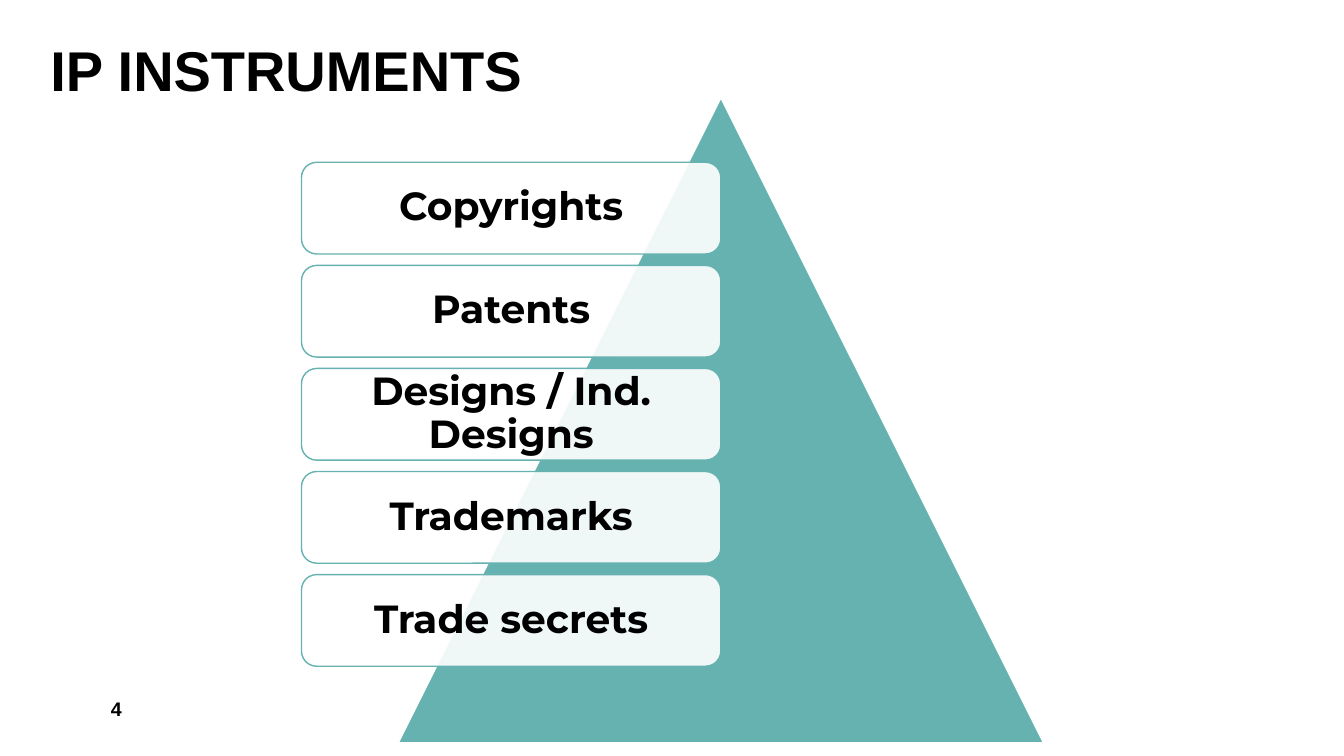
from dataclasses import dataclass

from lxml.etree import SubElement
from pptx import Presentation
from pptx.dml.color import RGBColor
from pptx.enum.shapes import MSO_SHAPE as Preset
from pptx.enum.text import MSO_ANCHOR as Anchor, PP_ALIGN as Align
from pptx.oxml.ns import qn
from pptx.util import Inches, Pt

# Content
HEADING = "IP INSTRUMENTS"
INSTRUMENTS = [
    "Copyrights",
    "Patents",
    "Designs / Ind. Designs",
    "Trademarks",
    "Trade secrets",
]
PAGE_NUMBER = "4"


@dataclass(frozen=True)
class Theme:
    teal: RGBColor = RGBColor(0x66, 0xB2, 0xB0)
    white: RGBColor = RGBColor(0xFF, 0xFF, 0xFF)
    black: RGBColor = RGBColor(0, 0, 0)
    plain_font: str = "Arial"
    card_font: str = "Montserrat"
    heading_size: int = 40
    card_size: int = 28
    number_size: int = 14
    outline: int = 1
    card_opacity: int = 90


THEME = Theme()

# Layout, in inches
PYRAMID = (3.95, 0.97, 6.4, 6.4)
CARD_LEFT, CARD_TOP, CARD_WIDTH, CARD_HEIGHT = 2.99, 1.61, 4.16, 0.91
CARD_STEP = 1.0225
CARD_INSET = 0.16


def write(frame, words, font_name, size, align, spacing=1.0):
    frame.word_wrap = True
    frame.vertical_anchor = Anchor.MIDDLE
    frame.text = words
    paragraph = frame.paragraphs[0]
    paragraph.alignment = align
    paragraph.line_spacing = spacing
    font = paragraph.font
    font.name, font.size, font.bold = font_name, Pt(size), True
    font.color.rgb = THEME.black


def add_panel(slide, preset, box, fill, line):
    panel = slide.shapes.add_shape(preset, *map(Inches, box))
    panel.shadow.inherit = False
    panel.fill.solid()
    panel.fill.fore_color.rgb = fill
    panel.line.color.rgb = line
    panel.line.width = Pt(THEME.outline)
    return panel


def add_card(slide, row, words):
    box = (CARD_LEFT, CARD_TOP + row * CARD_STEP, CARD_WIDTH, CARD_HEIGHT)
    card = add_panel(slide, Preset.ROUNDED_RECTANGLE, box, THEME.white, THEME.teal)
    # Let the pyramid show faintly through the card
    color = card.fill._xPr.find(qn("a:solidFill"))[0]
    SubElement(color, qn("a:alpha"), val=str(THEME.card_opacity * 1000))
    frame = card.text_frame
    frame.margin_left = frame.margin_right = Inches(CARD_INSET)
    frame.margin_top = frame.margin_bottom = Inches(CARD_INSET)
    write(frame, words, THEME.card_font, THEME.card_size, Align.CENTER, 0.9)


def main():
    deck = Presentation()
    deck.slide_width, deck.slide_height = Inches(13.33), Inches(7.5)
    slide = deck.slides.add_slide(deck.slide_layouts[5])

    # Heading
    heading = slide.shapes.title
    heading.left, heading.top = Inches(0.4), Inches(0.23)
    heading.width, heading.height = Inches(9.07), Inches(0.99)
    write(heading.text_frame, HEADING, THEME.plain_font, THEME.heading_size,
          Align.LEFT, 0.9)

    # Pyramid and its cards
    add_panel(slide, Preset.ISOSCELES_TRIANGLE, PYRAMID, THEME.teal, THEME.white)
    for row, words in enumerate(INSTRUMENTS):
        add_card(slide, row, words)

    # Page number
    number = slide.shapes.add_textbox(
        Inches(1), Inches(6.83), Inches(2.92), Inches(0.4))
    write(number.text_frame, PAGE_NUMBER, THEME.plain_font, THEME.number_size,
          Align.LEFT)

    deck.save("out.pptx")


if __name__ == "__main__":
    main()
